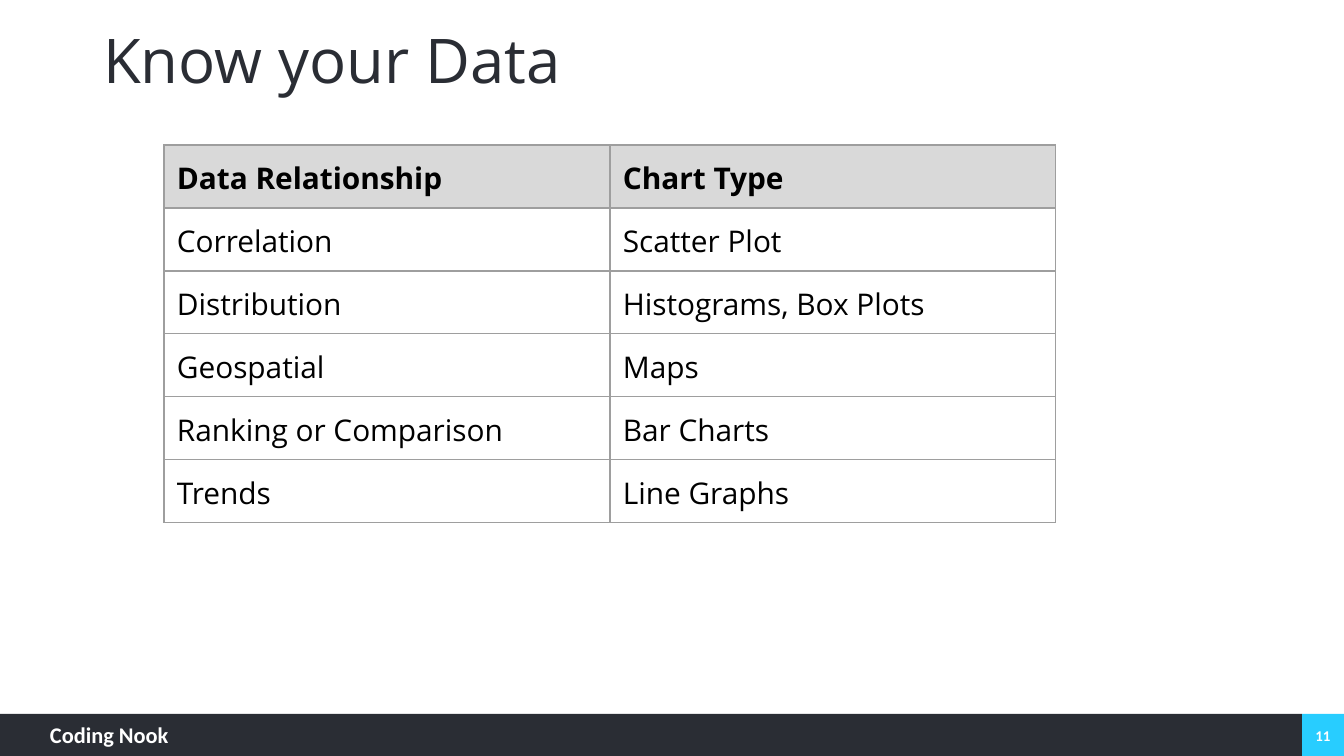
from lxml.etree import SubElement as Sub
from pptx import Presentation
from pptx.dml.color import RGBColor as Rgb
from pptx.enum.shapes import MSO_SHAPE as Shape
from pptx.enum.text import MSO_ANCHOR as Anchor, MSO_AUTO_SIZE as Fit, PP_ALIGN as Align
from pptx.oxml.ns import qn
from pptx.util import Emu, Pt

SCALE = 914400 / 134.4
HUES = {
    "dark": "2A2D34",
    "cyan": "28CDFF",
    "white": "FFFFFF",
    "black": "000000",
    "head": "D9D9D9",
    "rule": "9E9E9E",
}
ROWS = [
    ("Data Relationship", "Chart Type"),
    ("Correlation", "Scatter Plot"),
    ("Distribution", "Histograms, Box Plots"),
    ("Geospatial", "Maps"),
    ("Ranking or Comparison", "Bar Charts"),
    ("Trends", "Line Graphs"),
]


def px(n):
    return Emu(round(n * SCALE))


def hue(name):
    return Rgb.from_string(HUES[name])


def style(para, face, size, color, bold=False):
    font = para.font
    font.name = face
    font.size = Pt(size)
    font.bold = bold
    font.color.rgb = hue(color)


def inset(box, side, top):
    box.margin_left = box.margin_right = px(side)
    box.margin_top = box.margin_bottom = px(top)


def add_bar(slide, left, top, width, height, color):
    bar = slide.shapes.add_shape(Shape.RECTANGLE, *map(px, (left, top, width, height)))
    bar.shadow.inherit = False
    bar.fill.solid()
    bar.fill.fore_color.rgb = hue(color)
    bar.line.fill.background()


def add_label(slide, left, top, width, height, text, size, side=0, edge=0,
              align=Align.LEFT, anchor=Anchor.TOP):
    box = slide.shapes.add_textbox(*map(px, (left, top, width, height)))
    frame = box.text_frame
    frame.word_wrap = True
    frame.vertical_anchor = anchor
    inset(frame, side, edge)
    para = frame.paragraphs[0]
    para.text = text
    para.alignment = align
    style(para, "Calibri", size, "white", True)


def set_title(slide, text):
    title = slide.shapes.title
    title.left, title.top, title.width, title.height = map(px, (93, 9, 1157, 110))
    frame = title.text_frame
    frame.word_wrap = True
    frame.auto_size = Fit.NONE
    frame.vertical_anchor = Anchor.MIDDLE
    inset(frame, 10, 5)
    para = frame.paragraphs[0]
    para.text = text
    para.alignment = Align.LEFT
    para.line_spacing = 0.9
    style(para, "Open Sans", 33, "dark")


def add_rules(cell):
    props = cell._tc.get_or_add_tcPr()
    for at, side in enumerate(("lnL", "lnR", "lnT", "lnB")):
        line = Sub(props, qn(f"a:{side}"), w=str(Pt(0.75)))
        fill = Sub(line, qn("a:solidFill"))
        Sub(fill, qn("a:srgbClr"), val=HUES["rule"])
        props.insert(at, line)


def add_grid(slide, left, top, wide, high, rows):
    count = len(rows[0])
    frame = slide.shapes.add_table(
        len(rows), count, px(left), px(top), px(wide * count), px(high * len(rows)))
    table = frame.table
    table.horz_banding = False
    for col in table.columns:
        col.width = px(wide)
    for i, row in enumerate(rows):
        table.rows[i].height = px(high)
        for j, text in enumerate(row):
            cell = table.cell(i, j)
            inset(cell, 13, 13)
            if i == 0:
                cell.fill.solid()
                cell.fill.fore_color.rgb = hue("head")
            else:
                cell.fill.background()
            add_rules(cell)
            para = cell.text_frame.paragraphs[0]
            para.text = text
            style(para, "Open Sans", 16, "black", i == 0)


def main():
    deck = Presentation()
    deck.slide_width, deck.slide_height = px(1344), px(756)
    slide = deck.slides.add_slide(deck.slide_layouts[5])
    add_bar(slide, 1302, 714, 42, 42, "cyan")
    add_bar(slide, 0, 714, 1302, 42, "dark")
    add_label(slide, 50, 721, 211, 31, "Coding Nook", 12)
    add_label(slide, 1303, 716, 40, 40, "11", 8, 10, 5, Align.CENTER, Anchor.MIDDLE)
    set_title(slide, "Know your Data")
    add_grid(slide, 164, 145, 446, 63, ROWS)
    deck.save("out.pptx")


if __name__ == "__main__":
    main()
